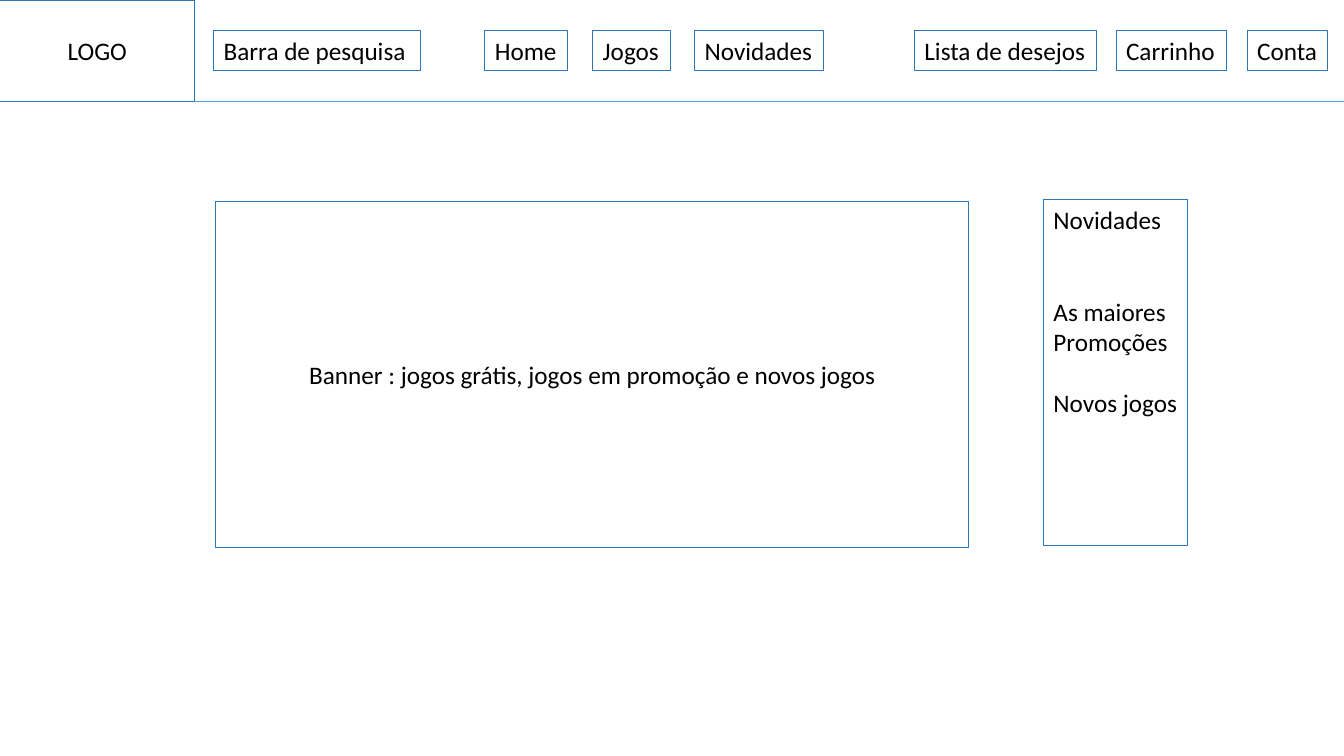
from dataclasses import dataclass

import pptx
import pptx.dml.color
import pptx.enum.shapes
import pptx.enum.text
import pptx.oxml
import pptx.oxml.ns
import pptx.util

Inches = pptx.util.Inches
Pt = pptx.util.Pt
RGBColor = pptx.dml.color.RGBColor
Align = pptx.enum.text.PP_ALIGN
Anchor = pptx.enum.text.MSO_ANCHOR


@dataclass(frozen=True)
class Theme:
    font: str = "Calibri"
    size: float = 18
    line_height: float = 22
    text: RGBColor = RGBColor(0, 0, 0)
    border: RGBColor = RGBColor(0x2E, 0x75, 0xB6)
    border_width: float = 0.75
    divider: RGBColor = RGBColor(0x5B, 0x9B, 0xD5)
    divider_width: float = 0.5


@dataclass(frozen=True)
class Box:
    left: float
    top: float
    width: float
    height: float


THEME = Theme()
NAVIGATION = [
    ("Barra de pesquisa", 2.12, 2.05),
    ("Home", 4.81, 0.82),
    ("Jogos", 5.88, 0.77),
    ("Novidades", 6.89, 1.28),
    ("Lista de desejos", 9.07, 1.81),
    ("Carrinho", 11.07, 1.09),
    ("Conta", 12.37, 0.8),
]
SIDEBAR = [("Novidades", 0), ("As maiores Promoções", 2), ("Novos jogos", 1)]


def apply_format(target, values):
    for name, value in values.items():
        setattr(target, name, value)


def add_panel(slide, box, lines, align=Align.LEFT, anchor=Anchor.TOP):
    shape = slide.shapes.add_shape(
        pptx.enum.shapes.MSO_SHAPE.RECTANGLE,
        Inches(box.left), Inches(box.top), Inches(box.width), Inches(box.height),
    )
    shape.shadow.inherit = False
    shape.fill.background()
    shape.line.color.rgb = THEME.border
    shape.line.width = Pt(THEME.border_width)
    frame = shape.text_frame
    right_margin = 0.05 if align == Align.LEFT else 0.1
    apply_format(frame, {
        "word_wrap": True,
        "vertical_anchor": anchor,
        "margin_right": Inches(right_margin),
    })
    for index, (text, lines_before) in enumerate(lines):
        paragraph = frame.add_paragraph() if index else frame.paragraphs[0]
        apply_format(paragraph, {
            "text": text,
            "alignment": align,
            "space_before": Pt(lines_before * THEME.line_height),
        })
        apply_format(paragraph.font, {"name": THEME.font, "size": Pt(THEME.size)})
        paragraph.font.color.rgb = THEME.text
    return shape


def add_header(slide, box):
    logo = Box(box.left, box.top, 1.93, box.height)
    add_panel(slide, logo, [("LOGO", 0)], Align.CENTER, Anchor.MIDDLE)
    for label, offset, width in NAVIGATION:
        button = Box(box.left + offset, box.top + 0.3, width, 0.4)
        add_panel(slide, button, [(label, 0)], anchor=Anchor.MIDDLE)
    bottom = Inches(box.top + box.height)
    divider = slide.shapes.add_connector(
        pptx.enum.shapes.MSO_CONNECTOR.STRAIGHT,
        Inches(logo.left + logo.width), bottom, Inches(box.left + box.width), bottom,
    )
    divider.line.color.rgb = THEME.divider
    divider.line.width = Pt(THEME.divider_width)
    properties = divider._element.spPr
    properties.append(pptx.oxml.parse_xml(
        f"<a:effectLst {pptx.oxml.ns.nsdecls('a')}/>"
    ))


def add_banner(slide, box):
    text = "Banner : jogos grátis, jogos em promoção e novos jogos"
    add_panel(slide, box, [(text, 0)], Align.CENTER, Anchor.MIDDLE)


def add_sidebar(slide, box):
    add_panel(slide, box, SIDEBAR)


def main():
    presentation = pptx.Presentation()
    apply_format(presentation, {
        "slide_width": Inches(13.33),
        "slide_height": Inches(7.5),
    })
    slide = presentation.slides.add_slide(presentation.slide_layouts[6])
    add_header(slide, Box(0, 0, 13.33, 1.01))
    add_banner(slide, Box(2.14, 2, 7.47, 3.43))
    add_sidebar(slide, Box(10.35, 1.98, 1.43, 3.43))
    presentation.save("out.pptx")


if __name__ == "__main__":
    main()
